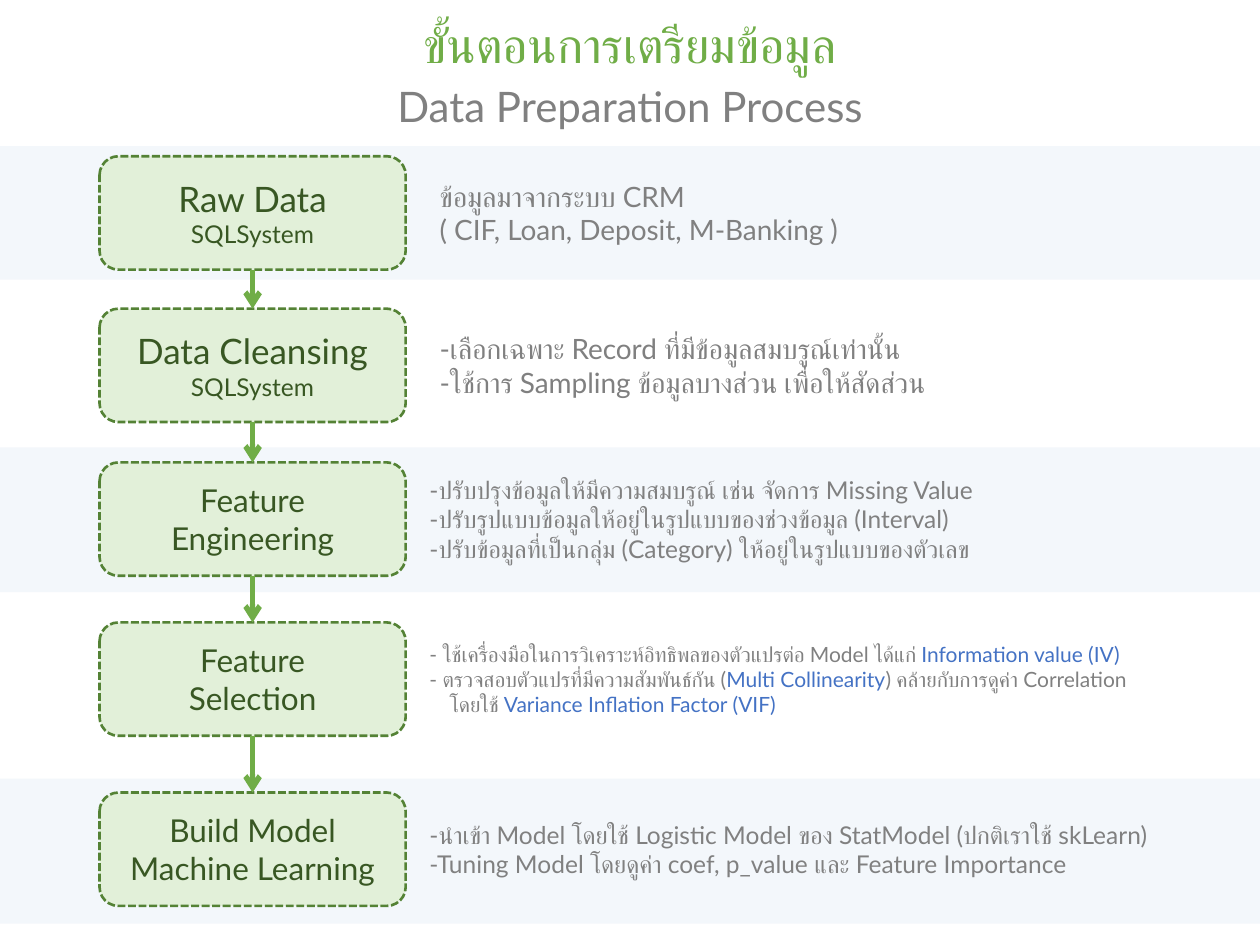
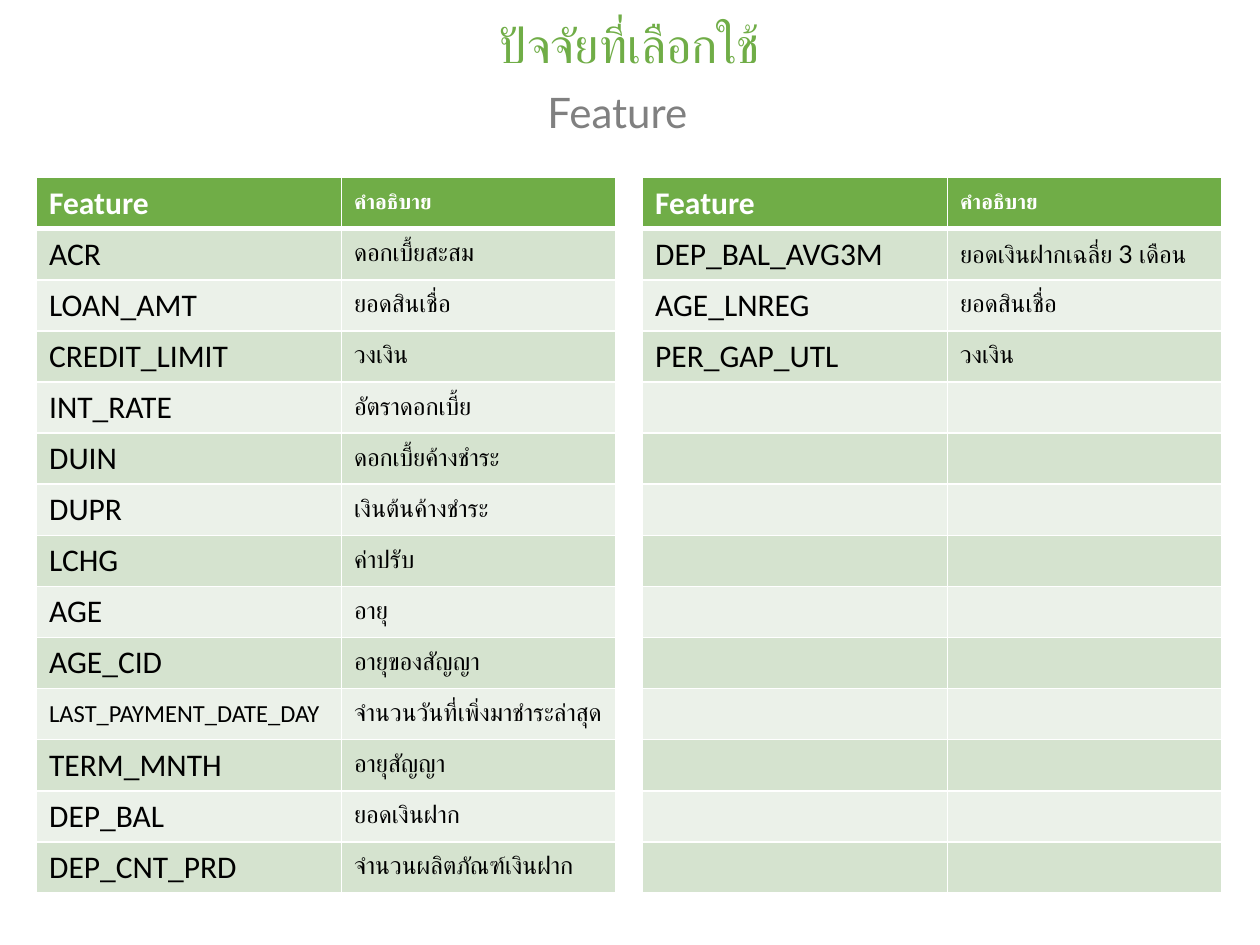
import pptx
import pptx.util
import pptx.dml.color
import pptx.enum.dml
import pptx.enum.shapes
import pptx.enum.text
import pptx.oxml
import pptx.oxml.ns
import lxml.etree

Inches = pptx.util.Inches
Pt = pptx.util.Pt
RGB = pptx.dml.color.RGBColor.from_string
ALIGN = pptx.enum.text.PP_ALIGN
SHAPE = pptx.enum.shapes.MSO_SHAPE
MIDDLE = pptx.enum.text.MSO_ANCHOR.MIDDLE
qn = pptx.oxml.ns.qn

COLORS = {
    "green": "70AD47",
    "gray": "808080",
    "blue": "4472C4",
    "band": "F3F7FB",
    "step": "E2F0D9",
    "step_edge": "548235",
    "step_text": "385723",
    "row_dark": "D5E3CF",
    "row_light": "EBF1E9",
    "white": "FFFFFF",
    "black": "000000",
}


def write_lines(frame, lines, sizes, color, align):
    frame.word_wrap = True
    frame.text = "\n".join(line.replace("|", "") for line in lines)
    for paragraph, line, size in zip(frame.paragraphs, lines, sizes):
        paragraph.alignment = align
        segments = line.split("|")
        paragraph.runs[0].text = segments[0]
        for segment in segments[1:]:
            if segment:
                paragraph.add_run().text = segment
        for index, run in enumerate(paragraph.runs):
            run.font.name = "Lato"
            run.font.size = Pt(size)
            run.font.color.rgb = RGB(COLORS["blue" if index % 2 else color])


def add_text(slide, left, middle, width, lines, size, color, align):
    height = 0.1 + len(lines) * size * 1.2 / 72
    box = slide.shapes.add_textbox(
        Inches(left), Inches(middle - height / 2), Inches(width), Inches(height))
    write_lines(box.text_frame, lines, [size] * len(lines), color, align)
    box.text_frame.auto_size = pptx.enum.text.MSO_AUTO_SIZE.SHAPE_TO_FIT_TEXT
    return box


deck = pptx.Presentation()
deck.slide_width, deck.slide_height = Inches(10), Inches(7.5)

headings = [
    ("ขั้นตอนการเตรียมข้อมูล", "Data Preparation Process", 0, 0.84),
    ("ปัจจัยที่เลือกใช้", "Feature", -0.1, 0.89),
]
slides = []
for title, subtitle, subtitle_left, subtitle_middle in headings:
    slide = deck.slides.add_slide(deck.slide_layouts[6])
    add_text(slide, 0, 0.35, 10, [title], 28, "green", ALIGN.CENTER)
    add_text(slide, subtitle_left, subtitle_middle, 10, [subtitle], 24, "gray", ALIGN.CENTER)
    slides.append(slide)
process, features = slides

for top, height in [(1.16, 1.06), (3.55, 1.15), (6.18, 1.15)]:
    band = process.shapes.add_shape(
        SHAPE.RECTANGLE, 0, Inches(top), Inches(10), Inches(height))
    band.shadow.inherit = False
    band.fill.solid()
    band.fill.fore_color.rgb = RGB(COLORS["band"])
    band.line.fill.background()

STEP_HEIGHT = 0.9
steps = [
    (1.24, ["Raw Data", "SQLSystem"], [20, 14], 3.39, 16,
     ["ข้อมูลมาจากระบบ CRM", "( CIF, Loan, Deposit, M-Banking )"]),
    (2.45, ["Data Cleansing", "SQLSystem"], [20, 14], 3.39, 16,
     ["-เลือกเฉพาะ Record ที่มีข้อมูลสมบรูณ์เท่านั้น",
      "-ใช้การ Sampling ข้อมูลบางส่วน เพื่อให้สัดส่วน"]),
    (3.67, ["Feature", "Engineering"], [18, 18], 3.31, 14,
     ["-ปรับปรุงข้อมูลให้มีความสมบรูณ์ เช่น จัดการ Missing Value",
      "-ปรับรูปแบบข้อมูลให้อยู่ในรูปแบบของช่วงข้อมูล (Interval)",
      "-ปรับข้อมูลที่เป็นกลุ่ม (Category) ให้อยู่ในรูปแบบของตัวเลข"]),
    (4.94, ["Feature", "Selection"], [18, 18], 3.31, 12,
     ["- ใช้เครื่องมือในการวิเคราะห์อิทธิพลของตัวแปรต่อ Model ได้แก่ |Information value (IV)|",
      "- ตรวจสอบตัวแปรที่มีความสัมพันธ์กัน (|Multi Collinearity|) คล้ายกับการดูค่า Correlation",
      "โดยใช้ |Variance Inflation Factor (VIF)|"]),
    (6.29, ["Build Model", "Machine Learning"], [18, 18], 3.31, 14,
     ["-นำเข้า Model โดยใช้ Logistic Model ของ StatModel (ปกติเราใช้ skLearn)",
      "-Tuning Model โดยดูค่า coef, p_value และ Feature Importance"]),
]
previous_step = None
for top, labels, label_sizes, note_left, note_size, notes in steps:
    step = process.shapes.add_shape(
        SHAPE.FLOWCHART_ALTERNATE_PROCESS,
        Inches(0.79), Inches(top), Inches(2.43), Inches(STEP_HEIGHT))
    step.shadow.inherit = False
    step.fill.solid()
    step.fill.fore_color.rgb = RGB(COLORS["step"])
    step.line.color.rgb = RGB(COLORS["step_edge"])
    step.line.width = Pt(1.5)
    step.line.dash_style = pptx.enum.dml.MSO_LINE.SQUARE_DOT
    step.text_frame.vertical_anchor = MIDDLE
    write_lines(step.text_frame, labels, label_sizes, "step_text", ALIGN.CENTER)

    note = add_text(process, note_left, top + STEP_HEIGHT / 2, 6.41,
                    notes, note_size, "gray", ALIGN.LEFT)
    for paragraph in note.text_frame.paragraphs:
        if paragraph.text.startswith("โดยใช้"):
            paragraph._p.get_or_add_pPr().set("marL", str(Inches(0.16)))

    if previous_step is not None:
        arrow = process.shapes.add_connector(
            pptx.enum.shapes.MSO_CONNECTOR.STRAIGHT, 0, 0, 0, 0)
        arrow.begin_connect(previous_step, 2)
        arrow.end_connect(step, 0)
        arrow.line.color.rgb = RGB(COLORS["green"])
        arrow.line.width = Pt(3)
        lxml.etree.SubElement(arrow.line._get_or_add_ln(), qn("a:tailEnd"), type="arrow")
        lxml.etree.SubElement(arrow._element.spPr, qn("a:effectLst"))
    previous_step = step

ROW_COUNT = 14
header = ("Feature", "คำอธิบาย")
feature_tables = [
    (0.29, [
        header,
        ("ACR", "ดอกเบี้ยสะสม"),
        ("LOAN_AMT", "ยอดสินเชื่อ"),
        ("CREDIT_LIMIT", "วงเงิน"),
        ("INT_RATE", "อัตราดอกเบี้ย"),
        ("DUIN", "ดอกเบี้ยค้างชำระ"),
        ("DUPR", "เงินต้นค้างชำระ"),
        ("LCHG", "ค่าปรับ"),
        ("AGE", "อายุ"),
        ("AGE_CID", "อายุของสัญญา"),
        ("LAST_PAYMENT_DATE_DAY", "จำนวนวันที่เพิ่งมาชำระล่าสุด"),
        ("TERM_MNTH", "อายุสัญญา"),
        ("DEP_BAL", "ยอดเงินฝาก"),
        ("DEP_CNT_PRD", "จำนวนผลิตภัณฑ์เงินฝาก"),
    ]),
    (5.1, [
        header,
        ("DEP_BAL_AVG3M", "ยอดเงินฝากเฉลี่ย 3 เดือน"),
        ("AGE_LNREG", "ยอดสินเชื่อ"),
        ("PER_GAP_UTL", "วงเงิน"),
    ]),
]
for left, entries in feature_tables:
    table = features.shapes.add_table(
        ROW_COUNT, 2, Inches(left), Inches(1.41), Inches(4.6), Inches(5.68)).table
    table.columns[0].width = Inches(2.42)
    table.columns[1].width = Inches(2.18)
    for row in range(ROW_COUNT):
        for column in range(2):
            cell = table.cell(row, column)
            cell.vertical_anchor = MIDDLE
            for side in ("lnL", "lnR", "lnT", "lnB"):
                under_header = (row, side) in [(0, "lnB"), (1, "lnT")]
                border = lxml.etree.SubElement(
                    cell._tc.get_or_add_tcPr(), qn("a:" + side),
                    w=str(Pt(3 if under_header else 1)))
                paint = lxml.etree.SubElement(border, qn("a:solidFill"))
                lxml.etree.SubElement(paint, qn("a:srgbClr"), val=COLORS["white"])
            cell.fill.solid()
            fill = "green" if row == 0 else "row_dark" if row % 2 else "row_light"
            cell.fill.fore_color.rgb = RGB(COLORS[fill])
            if row >= len(entries):
                continue
            cell.text_frame.text = entries[row][column]
            font = cell.text_frame.paragraphs[0].runs[0].font
            font.name = ("Calibri", "Lato")[column]
            if column == 0:
                font.size = Pt(14 if len(entries[row][0]) > 20 else 18)
            else:
                font.size = Pt(12 if row == 0 else 14)
            font.bold = row == 0
            font.color.rgb = RGB(COLORS["white" if row == 0 else "black"])

deck.save("out.pptx")
